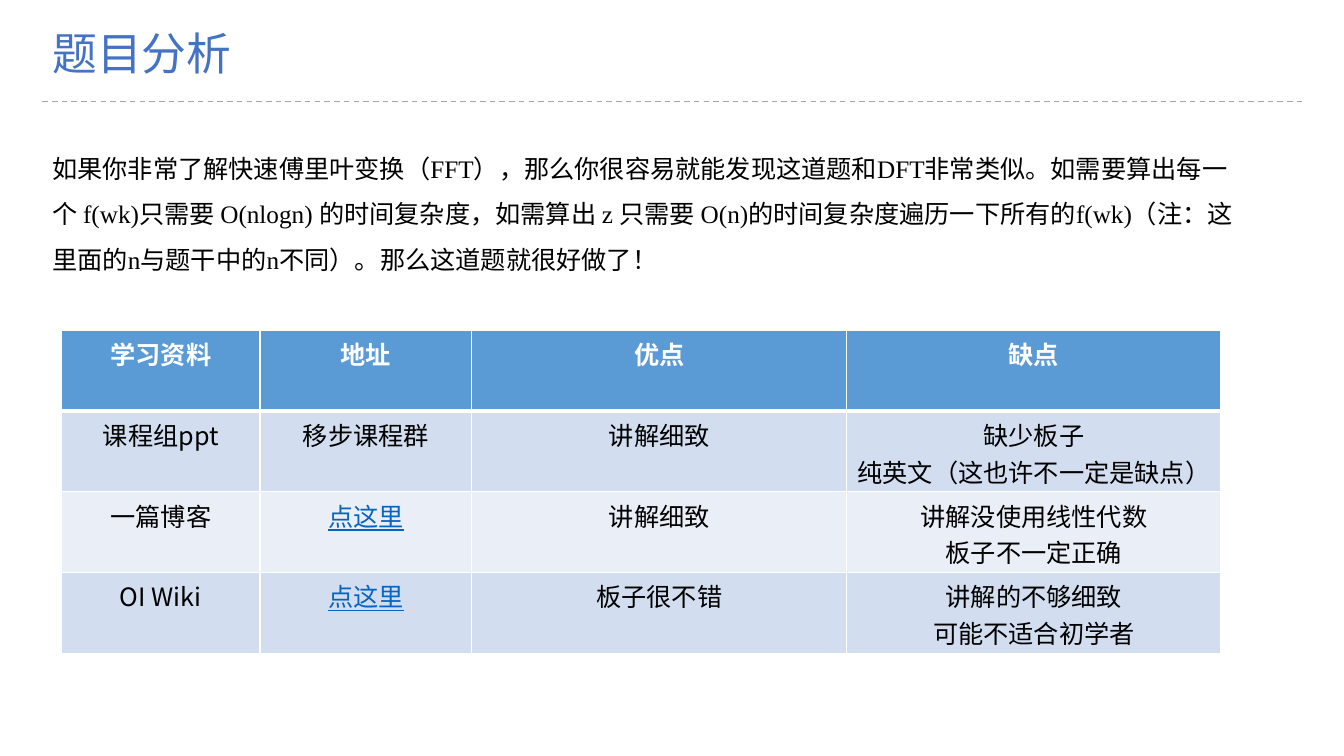
from lxml import etree
from pptx import Presentation
from pptx.dml.color import RGBColor
from pptx.enum.dml import MSO_LINE
from pptx.enum.shapes import MSO_CONNECTOR
from pptx.enum.text import MSO_ANCHOR, PP_ALIGN
from pptx.oxml.ns import qn
from pptx.util import Inches, Pt

STRAIGHT = MSO_CONNECTOR.STRAIGHT
DASH = MSO_LINE.DASH
BOTTOM, TOP = MSO_ANCHOR.BOTTOM, MSO_ANCHOR.TOP
LEFT, CENTER = PP_ALIGN.LEFT, PP_ALIGN.CENTER
SANS, SERIF = "Noto Sans CJK SC", "Times New Roman"
COLORS = {
    "title": "4472C4", "rule": "A5A5A5", "text": "000000", "white": "FFFFFF",
    "link": "0563C1", "header": "5B9BD5", "odd": "D2DEEF", "even": "EAEFF7",
}
TITLE = "题目分析"
ANALYSIS = (
    "如果你非常了解快速傅里叶变换（FFT），那么你很容易就能发现这道题和DFT非常类似。"
    "如需要算出每一个 f(wk)只需要 O(nlogn) 的时间复杂度，如需算出 z 只需要 "
    "O(n)的时间复杂度遍历一下所有的f(wk)（注：这里面的n与题干中的n不同）。"
    "那么这道题就很好做了！"
)
LINK = "点这里"
MATERIALS = [
    ["学习资料", "地址", "优点", "缺点"],
    ["课程组ppt", "移步课程群", "讲解细致", "缺少板子\n纯英文（这也许不一定是缺点）"],
    ["一篇博客", LINK, "讲解细致", "讲解没使用线性代数\n板子不一定正确"],
    ["OI Wiki", LINK, "板子很不错", "讲解的不够细致\n可能不适合初学者"],
]
COL_WIDTHS = [1.97, 2.1, 3.72, 3.71]


def rgb(name):
    return RGBColor.from_string(COLORS[name])


def write(tf, text, size=18, font=SANS, color="text", bold=False,
          underline=False, align=LEFT, spacing=1.0):
    for i, line in enumerate(text.split("\n")):
        p = tf.add_paragraph() if i else tf.paragraphs[0]
        p.alignment = align
        p.line_spacing = spacing
        r = p.add_run()
        r.text = line
        r.font.size = Pt(size)
        r.font.name = font
        r.font.bold = bold
        r.font.underline = underline
        r.font.color.rgb = rgb(color)
        rPr = r._r.get_or_add_rPr()
        rPr.set("lang", "zh-CN")
        etree.SubElement(rPr, qn("a:ea"), typeface=SANS)


def add_text(s, x, y, w, h, text, anchor=TOP, **fmt):
    sp = s.shapes.add_textbox(Inches(x), Inches(y), Inches(w), Inches(h))
    tf = sp.text_frame
    tf.word_wrap = True
    tf.vertical_anchor = anchor
    write(tf, text, **fmt)


def set_borders(cell, bottom):
    tcPr = cell._tc.get_or_add_tcPr()
    widths = {"L": 1, "R": 1, "T": 1, "B": bottom}
    for i, (side, width) in enumerate(widths.items()):
        ln = etree.Element(qn("a:ln" + side), w=str(Pt(width)))
        fill = etree.SubElement(ln, qn("a:solidFill"))
        etree.SubElement(fill, qn("a:srgbClr"), val=COLORS["white"])
        tcPr.insert(i, ln)


def add_heading(s, x, y, w, h):
    add_text(s, x, y, w, h - 0.16, TITLE, anchor=BOTTOM, size=32,
             color="title", spacing=0.9)
    rule = s.shapes.add_connector(STRAIGHT, Inches(x), Inches(y + h),
                                  Inches(x + w), Inches(y + h))
    rule.line.color.rgb = rgb("rule")
    rule.line.width = Pt(1)
    rule.line.dash_style = DASH
    etree.SubElement(rule._element.spPr, qn("a:effectLst"))


def add_materials(s, x, y, w, h):
    rows, cols = len(MATERIALS), len(COL_WIDTHS)
    table = s.shapes.add_table(rows, cols, Inches(x), Inches(y),
                               Inches(w), Inches(h)).table
    for col, width in zip(table.columns, COL_WIDTHS):
        col.width = Inches(width)
    for i, texts in enumerate(MATERIALS):
        table.rows[i].height = Inches(h / rows)
        header = i == 0
        band = "header" if header else "odd" if i % 2 else "even"
        for j, text in enumerate(texts):
            cell = table.cell(i, j)
            cell.fill.solid()
            cell.fill.fore_color.rgb = rgb(band)
            set_borders(cell, 3 if header else 1)
            link = text == LINK
            color = "white" if header else "link" if link else "text"
            write(cell.text_frame, text, color=color, bold=header,
                  underline=link, align=CENTER)


def main():
    prs = Presentation()
    prs.slide_width, prs.slide_height = Inches(13.33), Inches(7.5)
    s = prs.slides.add_slide(prs.slide_layouts[6])
    add_heading(s, 0.42, 0.05, 12.49, 0.96)
    add_text(s, 0.42, 1.32, 12.09, 1.41, ANALYSIS, font=SERIF, spacing=1.5)
    add_materials(s, 0.61, 3.28, sum(COL_WIDTHS), 3.2)
    prs.save("out.pptx")


if __name__ == "__main__":
    main()
